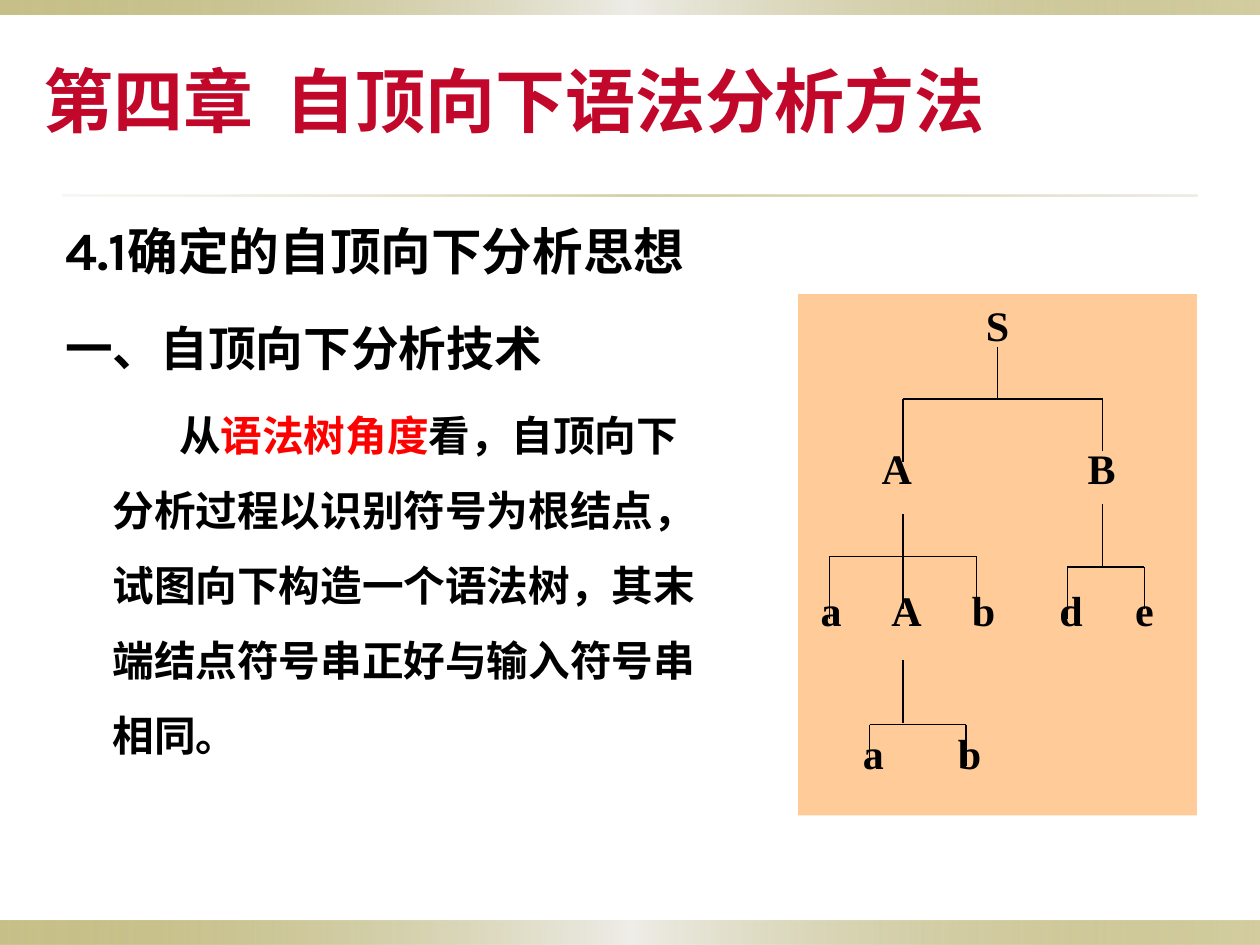
from pptx import Presentation
from pptx.dml.color import RGBColor
from pptx.enum.shapes import MSO_CONNECTOR as CONN, MSO_SHAPE as SHAPE
from pptx.enum.text import MSO_ANCHOR as ANCHOR, PP_ALIGN as ALIGN
from pptx.oxml.ns import qn
from pptx.util import Pt
from lxml.etree import SubElement

BLACK = RGBColor(0, 0, 0)
RED = RGBColor(0xFF, 0, 0)
CRIMSON = RGBColor(0xC1, 0x07, 0x2A)
PEACH = RGBColor(0xFF, 0xCC, 0x99)
OLIVE = RGBColor(0x91, 0x84, 0x15)
PALE = RGBColor(0xEE, 0xED, 0xE8)
SAND = RGBColor(0xDC, 0xD9, 0xCC)


class Deck:
    title_font, body_font, tree_font = "Arial", "Karla", "Times New Roman"

    def __init__(self, width, height):
        self.prs = Presentation()
        self.prs.slide_width, self.prs.slide_height = Pt(width), Pt(height)
        self.s = self.prs.slides.add_slide(self.prs.slide_layouts[6])

    def rect(self, x, y, w, h, color=None):
        sp = self.s.shapes.add_shape(SHAPE.RECTANGLE, Pt(x), Pt(y), Pt(w), Pt(h))
        sp.shadow.inherit = False
        sp.line.fill.background()
        if color is not None:
            sp.fill.solid()
            sp.fill.fore_color.rgb = color
        return sp

    def gradient_bar(self, x, y, w, h, stops):
        """Stops are (position %, colour, opacity %)."""
        sp = self.rect(x, y, w, h)
        sp.fill.gradient()
        sp.fill.gradient_angle = 0
        gs_list = next(sp._element.spPr.iter(qn("a:gsLst")))
        for gs in list(gs_list):
            gs_list.remove(gs)
        for pos, color, opacity in stops:
            gs = SubElement(gs_list, qn("a:gs"), pos=str(pos * 1000))
            clr = SubElement(gs, qn("a:srgbClr"), val=str(color))
            SubElement(clr, qn("a:alpha"), val=str(opacity * 1000))

    def text_box(self, x, y, w, h, anchor=ANCHOR.TOP):
        tf = self.s.shapes.add_textbox(Pt(x), Pt(y), Pt(w), Pt(h)).text_frame
        tf.word_wrap = True
        tf.vertical_anchor = anchor
        return tf

    def paragraph(self, tf, first, runs, font, before=0, spacing=1.0,
                  align=ALIGN.LEFT, left=0, indent=0):
        """Runs are (text, size, colour)."""
        p = tf.paragraphs[0] if first else tf.add_paragraph()
        p.alignment, p.space_before, p.line_spacing = align, Pt(before), spacing
        pPr = p._p.get_or_add_pPr()
        pPr.set("marL", str(Pt(left)))
        pPr.set("indent", str(Pt(indent)))
        for text, size, color in runs:
            r = p.add_run()
            r.text = text
            r.font.name, r.font.size, r.font.bold = font, Pt(size), True
            r.font.color.rgb = color

    def node(self, symbol, x, y):
        """A tree symbol centred on x, y."""
        tf = self.text_box(x - 20, y - 18, 40, 36, ANCHOR.MIDDLE)
        self.paragraph(tf, True, [(symbol, 24, BLACK)], self.tree_font,
                       align=ALIGN.CENTER)

    def line(self, x1, y1, x2, y2):
        c = self.s.shapes.add_connector(CONN.STRAIGHT, Pt(x1), Pt(y1), Pt(x2), Pt(y2))
        c.line.color.rgb, c.line.width = BLACK, Pt(0.75)
        SubElement(c._element.spPr, qn("a:effectLst"))

    def branch(self, x, top, bottom, bar, twigs):
        """A stem, a crossbar and the twigs (x, bottom) that hang from it."""
        self.line(x, top, x, bottom)
        self.line(twigs[0][0], bar, twigs[-1][0], bar)
        for twig_x, twig_bottom in twigs:
            self.line(twig_x, bar, twig_x, twig_bottom)


deck = Deck(720, 540)

# Bands and rule
BAND = [(0, OLIVE, 50), (50, PALE, 100), (100, OLIVE, 40)]
RULE = [(0, SAND, 20), (50, OLIVE, 40), (100, SAND, 50)]
deck.gradient_bar(0, 525.9, 720, 14.1, BAND)
deck.gradient_bar(0, 0, 720, 8.6, BAND)
deck.gradient_bar(36, 111, 648, 1.2, RULE)

# Title
tf = deck.text_box(18, 12, 702, 90, ANCHOR.MIDDLE)
deck.paragraph(tf, True, [("第四章  自顶向下语法分析方法", 40, CRIMSON)],
               deck.title_font)

# Body text: space before, first-line indent, runs
BODY = [
    (6.5, -27, [("4.1", 30.6, BLACK), ("确定的自顶向下分析思想", 28.9, BLACK)]),
    (5.5, -27, [("一、自顶向下分析技术", 27.2, BLACK)]),
    (4.8, 38, [("从", 23.8, BLACK), ("语法树角度", 23.8, RED),
               ("看，自顶向下分析过程以识别符号为根结点，试图向下构造一个语法树，"
                "其末端结点符号串正好与输入符号串相同。", 23.8, BLACK)]),
]
tf = deck.text_box(30.25, 102, 384, 412)
for i, (before, indent, runs) in enumerate(BODY):
    deck.paragraph(tf, i == 0, runs, deck.body_font, before=before, spacing=1.5,
                   left=27, indent=indent)

# Syntax tree: panel and branches
deck.rect(456, 168, 228, 298, PEACH)
deck.branch(570, 198, 228, 228, [(516, 264), (630, 258)])
deck.branch(516, 294, 348, 318, [(474, 354), (558, 348)])
deck.branch(630, 288, 324, 324, [(610, 354), (654, 348)])
deck.branch(516, 377, 413, 414, [(497, 438), (552, 438)])

# Syntax tree: symbols level by level
LEVELS = [
    [("S", 570)],
    [("A", 512.5), ("B", 629.5)],
    [("a", 475), ("A", 518), ("b", 562), ("d", 612), ("e", 654)],
    [("a", 499), ("b", 554)],
]
for level, symbols in enumerate(LEVELS):
    for symbol, x in symbols:
        deck.node(symbol, x, 185.5 + 81.5 * level)

deck.prs.save("out.pptx")
